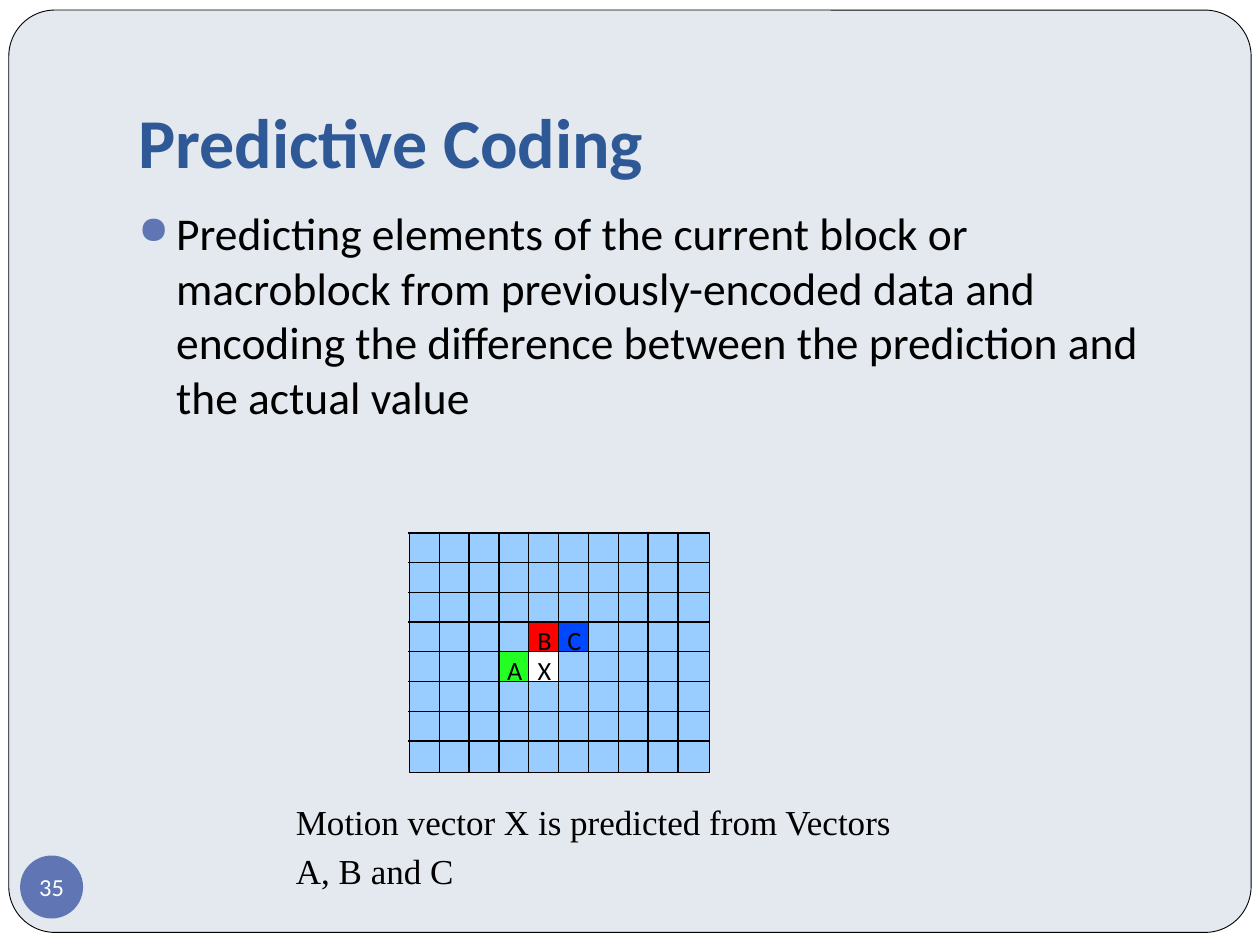
import pptx
import pptx.dml.color
import pptx.enum.shapes
import pptx.enum.text
import pptx.oxml
import pptx.oxml.ns
import pptx.util
from dataclasses import dataclass

Inches = pptx.util.Inches
Pt = pptx.util.Pt
Shapes = pptx.enum.shapes.MSO_SHAPE
Anchor = pptx.enum.text.MSO_ANCHOR
Align = pptx.enum.text.PP_ALIGN


@dataclass(frozen=True)
class Theme:
    font: str = "Calibri"
    caption_font: str = "Times New Roman"
    paper: str = "E4E9EF"
    white: str = "FFFFFF"
    ink: str = "000000"
    heading: str = "2F5897"
    accent: str = "6076B4"
    block: str = "99CCFF"
    block_a: str = "23FF23"
    block_b: str = "FF0000"
    block_c: str = "0047FF"
    title_size: float = 40
    body_size: float = 26
    caption_size: float = 20
    block_size: float = 15
    number_size: float = 14
    frame_line: float = 0.5
    grid_line: float = 0.75


THEME = Theme()

# Macroblock grid: columns, rows, first corner, last corner, side of a block
COLUMNS, ROWS = 10, 8
GRID_LEFT, GRID_TOP = 3.25, 4.23
STEP_X = (5.38 - GRID_LEFT) / (COLUMNS - 1)
STEP_Y = (5.88 - GRID_TOP) / (ROWS - 1)
BLOCK = 0.25
# (row, column): letter and fill of the blocks used in the prediction
VECTORS = {
    (3, 4): ("B", THEME.block_b),
    (3, 5): ("C", THEME.block_c),
    (4, 3): ("A", THEME.block_a),
    (4, 4): ("X", THEME.white),
}


def rgb(value):
    return pptx.dml.color.RGBColor.from_string(value)


def write(shape, text, size, color, font=THEME.font, bold=False,
          align=Align.LEFT, anchor=Anchor.TOP, wrap=True):
    frame = shape.text_frame
    frame.text = text
    frame.word_wrap = wrap
    frame.vertical_anchor = anchor
    paragraph = frame.paragraphs[0]
    paragraph.alignment = align
    letters = paragraph.runs[0].font
    letters.name, letters.size, letters.bold = font, Pt(size), bold
    letters.color.rgb = rgb(color)
    return paragraph


def add_box(shapes, kind, left, top, width, height, fill, line_width=None):
    box = shapes.add_shape(kind, Inches(left), Inches(top),
                           Inches(width), Inches(height))
    box.shadow.inherit = False
    box.fill.solid()
    box.fill.fore_color.rgb = rgb(fill)
    if line_width is None:
        box.line.fill.background()
    else:
        box.line.color.rgb = rgb(THEME.ink)
        box.line.width = Pt(line_width)
    return box


def add_text(shapes, left, top, width, height, text, size, color, **style):
    label = shapes.add_textbox(Inches(left), Inches(top),
                               Inches(width), Inches(height))
    return label, write(label, text, size, color, **style)


def add_rule(shapes, x1, y1, x2, y2):
    rule = shapes.add_connector(pptx.enum.shapes.MSO_CONNECTOR.STRAIGHT,
                                Inches(x1), Inches(y1), Inches(x2), Inches(y2))
    rule.line.color.rgb = rgb(THEME.ink)
    rule.line.width = Pt(THEME.grid_line)
    rule._element.spPr.append(pptx.oxml.parse_xml(
        "<a:effectLst %s/>" % pptx.oxml.ns.nsdecls("a")))


def add_bullet(paragraph, indent):
    properties = paragraph._p.get_or_add_pPr()
    properties.set("marL", str(Inches(indent)))
    properties.set("indent", str(-Inches(indent)))
    namespace = pptx.oxml.ns.nsdecls("a")
    for mark in (
        f'<a:buClr {namespace}><a:srgbClr val="{THEME.accent}"/></a:buClr>',
        f'<a:buSzPct {namespace} val="85000"/>',
        f'<a:buChar {namespace} char="●"/>',
    ):
        properties.append(pptx.oxml.parse_xml(mark))


def add_frame(slide):
    slide.background.fill.solid()
    slide.background.fill.fore_color.rgb = rgb(THEME.paper)
    add_box(slide.shapes, Shapes.RECTANGLE, 0, 0, 10, 7.5, THEME.white)
    panel = add_box(slide.shapes, Shapes.ROUNDED_RECTANGLE, 0.07, 0.08,
                    9.86, 7.32, THEME.paper, THEME.frame_line)
    panel.adjustments[0] = 0.05


def add_page_number(slide, number):
    badge = add_box(slide.shapes, Shapes.OVAL, 0.16, 6.79, 0.5, 0.5,
                    THEME.accent)
    frame = badge.text_frame
    frame.margin_left = frame.margin_right = 0
    frame.margin_top = frame.margin_bottom = 0
    write(badge, number, THEME.number_size, THEME.white,
          align=Align.CENTER, anchor=Anchor.MIDDLE, wrap=False)


def add_grid(slide):
    grid = slide.shapes.add_group_shape().shapes
    add_rule(grid, GRID_LEFT, 4.25, GRID_LEFT, 6.13)
    for row in range(ROWS):
        top = GRID_TOP + row * STEP_Y
        add_rule(grid, 3.24, top, 5.24, top)
        for column in range(COLUMNS):
            letter, fill = VECTORS.get((row, column), (None, THEME.block))
            block = add_box(grid, Shapes.RECTANGLE,
                            GRID_LEFT + column * STEP_X, top,
                            BLOCK, BLOCK, fill, THEME.grid_line)
            if letter:
                paragraph = write(block, letter, THEME.block_size, THEME.ink,
                                  align=Align.CENTER, anchor=Anchor.MIDDLE,
                                  wrap=False)
                paragraph.line_spacing = 1.16


def main():
    deck = pptx.Presentation()
    deck.slide_width, deck.slide_height = Inches(10), Inches(7.5)
    slide = deck.slides.add_slide(deck.slide_layouts[6])
    add_frame(slide)

    # Title
    title, _ = add_text(slide.shapes, 1, 0.3, 8.5, 1.25, "Predictive Coding",
                        THEME.title_size, THEME.heading, bold=True,
                        anchor=Anchor.BOTTOM)
    title.text_frame.margin_bottom = Inches(0.1)

    add_page_number(slide, "35")

    # Definition
    _, definition = add_text(
        slide.shapes, 1, 1.58, 8.5, 5,
        "Predicting elements of the current block or macroblock from "
        "previously-encoded data and encoding the difference between the "
        "prediction and the actual value",
        THEME.body_size, THEME.ink)
    definition.space_before = Pt(5.8)
    add_bullet(definition, 0.3)

    # Macroblocks and their caption
    add_grid(slide)
    _, caption = add_text(
        slide.shapes, 2.25, 6.25, 5, 0.39,
        "Motion vector X is predicted from Vectors A, B and C",
        THEME.caption_size, THEME.ink, font=THEME.caption_font)
    caption.line_spacing = 1.16

    deck.save("out.pptx")


if __name__ == "__main__":
    main()
